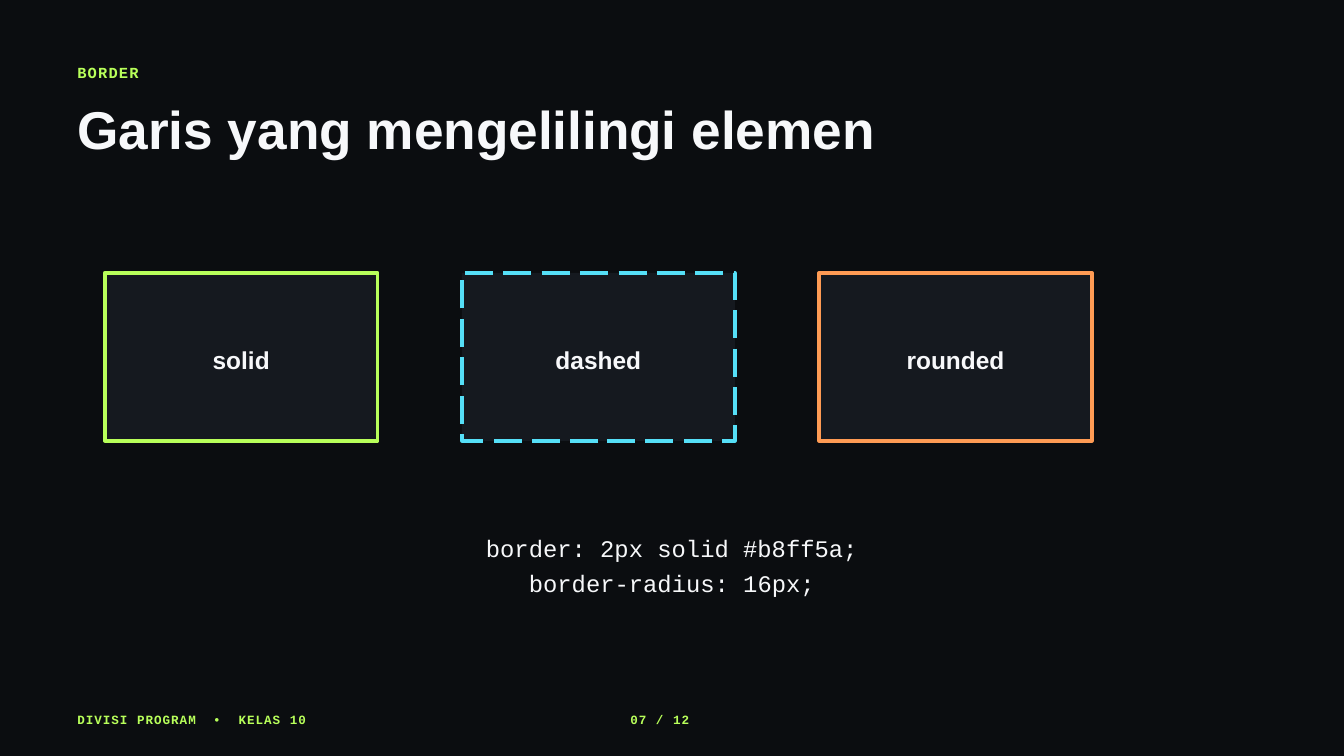
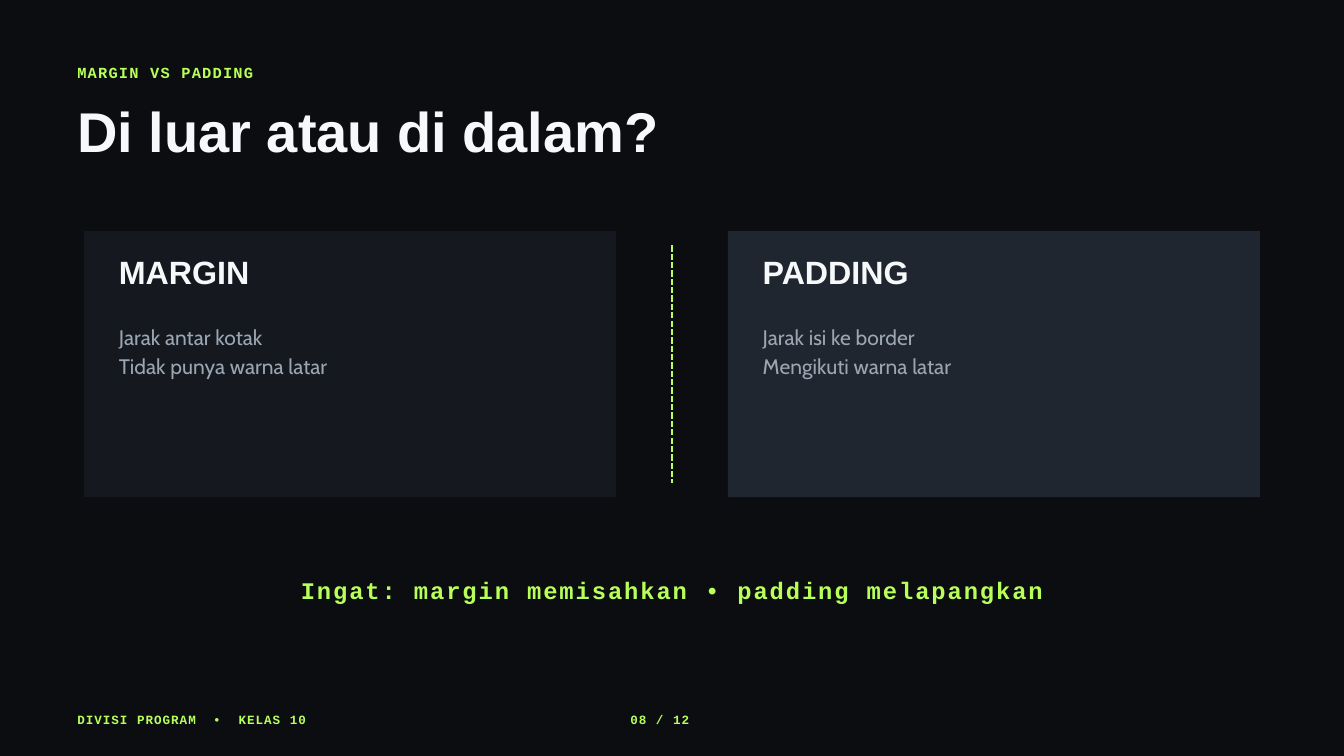
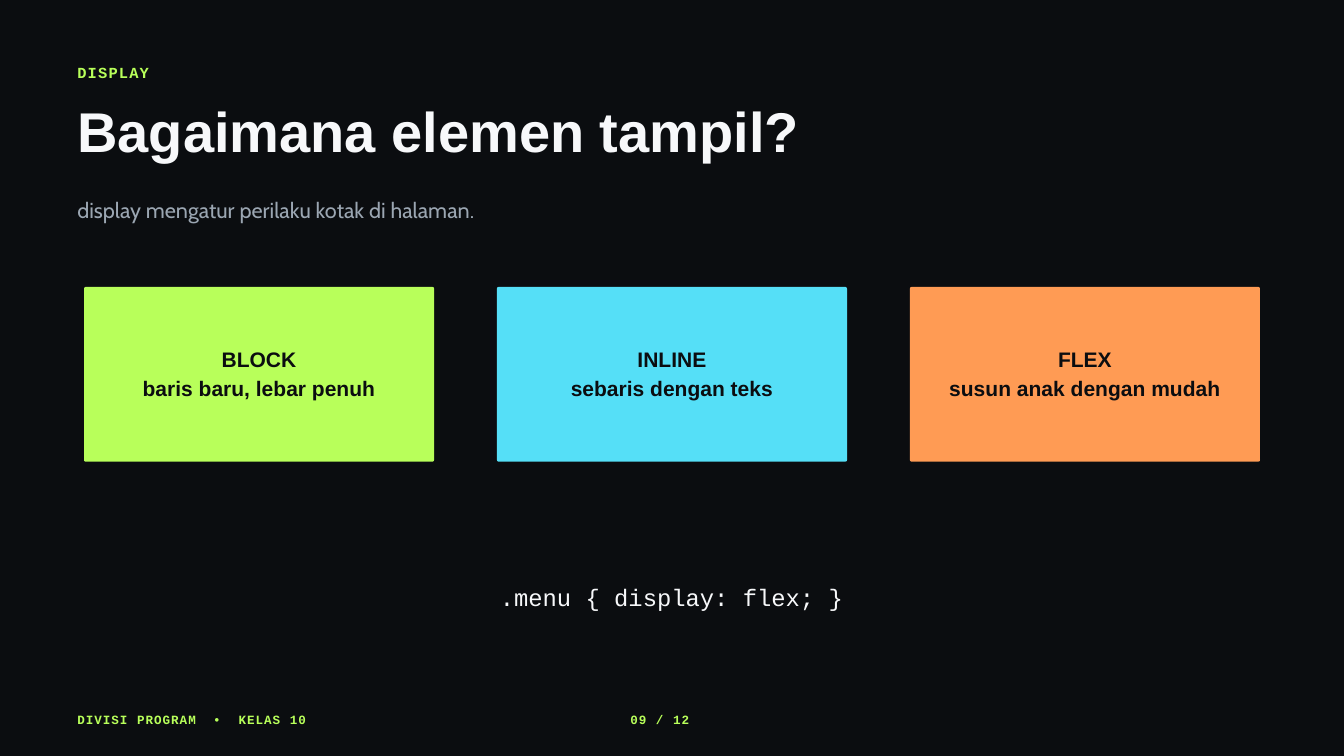
import collections

import pptx
import pptx.dml.color
import pptx.enum.dml
import pptx.enum.shapes
import pptx.enum.text
import pptx.oxml
import pptx.oxml.ns
import pptx.util

Inches = pptx.util.Inches
Pt = pptx.util.Pt
RGBColor = pptx.dml.color.RGBColor
SHAPE = pptx.enum.shapes.MSO_SHAPE
DASH = pptx.enum.dml.MSO_LINE
ALIGN = pptx.enum.text.PP_ALIGN

INK = RGBColor(0x0B, 0x0D, 0x10)
PANEL = RGBColor(0x15, 0x19, 0x1F)
PANEL_LIGHT = RGBColor(0x20, 0x26, 0x30)
WHITE = RGBColor(0xF7, 0xF8, 0xFA)
GREY = RGBColor(0x9B, 0xA6, 0xB2)
LIME = RGBColor(0xB8, 0xFF, 0x5A)
CYAN = RGBColor(0x55, 0xDF, 0xF7)
ORANGE = RGBColor(0xFF, 0x9B, 0x54)

TextStyle = collections.namedtuple(
    "TextStyle", "font size color bold leading tracking align",
    defaults=(False, 1.4, 0, ALIGN.LEFT))
KICKER = TextStyle("Courier New", 16.5, LIME, True, tracking=1.3)
TITLE = TextStyle("Arial", 60, WHITE, True, 1.02)
LEAD = TextStyle("Cabin", 23.25, GREY)
BODY = TextStyle("Cabin", 22.5, GREY)
PANEL_HEADING = TextStyle("Arial", 34.5, WHITE, True, 1.02)
BORDER_LABEL = TextStyle("Arial", 26.25, WHITE, True, 1.02, align=ALIGN.CENTER)
CARD = TextStyle("Arial", 22.5, INK, True, align=ALIGN.CENTER)
CODE = TextStyle("Courier New", 25.5, WHITE, leading=1.45, align=ALIGN.CENTER)
REMINDER = TextStyle("Courier New", 25.5, LIME, True, tracking=2, align=ALIGN.CENTER)
FOOTER = TextStyle("Courier New", 13.5, LIME, True, tracking=1.1)

TEXT_LEFT = 1.15
FOOTER_TABS = (2.02, 2.4, 8.23)


def columns(count, left, right, width):
    pitch = (right - left - width) / (count - 1)
    return [left + pitch * index for index in range(count)]


class Deck:
    def __init__(self):
        self.presentation = pptx.Presentation()
        self.presentation.slide_width = Inches(20)
        self.presentation.slide_height = Inches(11.25)
        self.slide = None

    def start(self, kicker, title, page, title_style=TITLE):
        self.slide = self.presentation.slides.add_slide(self.presentation.slide_layouts[6])
        background = self.slide.background.fill
        background.solid()
        background.fore_color.rgb = INK
        self.text(kicker, TEXT_LEFT, 0.9, 6.25, 0.31, KICKER)
        self.text(title, TEXT_LEFT, 1.58, 15.62, 1.02, title_style)
        self.text(f"DIVISI PROGRAM\t•\tKELAS 10\t{page:02} / 12",
                  TEXT_LEFT, 10.55, 17.71, 0.25, FOOTER, FOOTER_TABS)

    def fill_text(self, frame, content, style, tabs=()):
        frame.word_wrap = True
        frame.text = content
        for paragraph in frame.paragraphs:
            if tabs:
                properties = paragraph._p.get_or_add_pPr()
                tab_list = pptx.oxml.parse_xml(
                    f"<a:tabLst {pptx.oxml.ns.nsdecls('a')}>"
                    + "".join(f'<a:tab pos="{Inches(stop)}" algn="l"/>' for stop in tabs)
                    + "</a:tabLst>")
                properties.append(tab_list)
            paragraph.alignment = style.align
            paragraph.line_spacing = Pt(style.size * style.leading)
            for run in paragraph.runs:
                run.font.name = style.font
                run.font.size = Pt(style.size)
                run.font.bold = style.bold
                run.font.color.rgb = style.color
                if style.tracking:
                    run._r.get_or_add_rPr().set("spc", str(round(style.tracking * 100)))

    def text(self, content, left, top, width, height, style, tabs=()):
        box = self.slide.shapes.add_textbox(
            Inches(left), Inches(top), Inches(width), Inches(height))
        frame = box.text_frame
        frame.margin_left = frame.margin_right = frame.margin_top = frame.margin_bottom = 0
        self.fill_text(frame, content, style, tabs)
        frame.auto_size = pptx.enum.text.MSO_AUTO_SIZE.SHAPE_TO_FIT_TEXT

    def panel(self, left, top, width, height, fill, outline=None, dash=None,
              preset=SHAPE.RECTANGLE):
        panel = self.slide.shapes.add_shape(
            preset, Inches(left), Inches(top), Inches(width), Inches(height))
        panel.shadow.inherit = False
        panel.fill.solid()
        panel.fill.fore_color.rgb = fill
        if outline is None:
            panel.line.fill.background()
        else:
            panel.line.color.rgb = outline
            panel.line.width = Pt(3.75)
            panel.line.dash_style = dash
        return panel

    def card(self, content, left, top, width, height, fill):
        card = self.panel(left, top, width, height, fill, preset=SHAPE.ROUNDED_RECTANGLE)
        card.adjustments[0] = 0.01
        frame = card.text_frame
        frame.margin_left = frame.margin_right = frame.margin_top = Inches(0.06)
        frame.margin_bottom = Inches(0.14)
        frame.vertical_anchor = pptx.enum.text.MSO_ANCHOR.MIDDLE
        self.fill_text(frame, content, CARD)

    def divider(self, x, top, bottom):
        divider = self.slide.shapes.add_connector(
            pptx.enum.shapes.MSO_CONNECTOR.STRAIGHT,
            Inches(x), Inches(top), Inches(x), Inches(bottom))
        divider.line.color.rgb = LIME
        divider.line.width = Pt(2.25)
        divider.line.dash_style = DASH.SQUARE_DOT
        divider._element.spPr.append(
            pptx.oxml.parse_xml(f"<a:effectLst {pptx.oxml.ns.nsdecls('a')}/>"))


def border_slide(deck):
    deck.start("BORDER", "Garis yang mengelilingi elemen", 7, TITLE._replace(size=57))
    borders = (("solid", LIME, None), ("dashed", CYAN, DASH.LONG_DASH), ("rounded", ORANGE, None))
    for left, (label, outline, dash) in zip(columns(3, 1.56, 16.25, 4.06), borders):
        deck.panel(left, 4.06, 4.06, 2.5, PANEL, outline, dash)
        deck.text(label, left + 0.47, 5.2, 3.12, 0.44, BORDER_LABEL)
    deck.text("border: 2px solid #b8ff5a;\nborder-radius: 16px;", 4.69, 7.86, 10.62, 0.98, CODE)


def spacing_slide(deck):
    deck.start("MARGIN VS PADDING", "Di luar atau di dalam?", 8)
    spacings = (
        ("MARGIN", "Jarak antar kotak\nTidak punya warna latar", PANEL),
        ("PADDING", "Jarak isi ke border\nMengikuti warna latar", PANEL_LIGHT),
    )
    for left, (heading, details, fill) in zip(columns(2, 1.25, 18.75, 7.92), spacings):
        deck.panel(left, 3.44, 7.92, 3.96, fill)
        deck.text(heading, left + 0.52, 3.84, 6.25, 0.58, PANEL_HEADING)
        deck.text(details, left + 0.52, 4.76, 6.25, 0.84, BODY)
    deck.divider(10, 3.65, 7.19)
    deck.text("Ingat: margin memisahkan • padding melapangkan", 4.17, 8.5, 11.67, 0.46, REMINDER)


def display_slide(deck):
    deck.start("DISPLAY", "Bagaimana elemen tampil?", 9)
    deck.text("display mengatur perilaku kotak di halaman.", TEXT_LEFT, 2.86, 9.38, 0.44, LEAD)
    displays = (
        ("BLOCK\nbaris baru, lebar penuh", LIME),
        ("INLINE\nsebaris dengan teks", CYAN),
        ("FLEX\nsusun anak dengan mudah", ORANGE),
    )
    for left, (description, fill) in zip(columns(3, 1.25, 18.75, 5.21), displays):
        deck.card(description, left, 4.27, 5.21, 2.6, fill)
    deck.text(".menu { display: flex; }", 5.83, 8.59, 8.33, 0.47, CODE)


def main():
    deck = Deck()
    border_slide(deck)
    spacing_slide(deck)
    display_slide(deck)
    deck.presentation.save("out.pptx")


if __name__ == "__main__":
    main()
